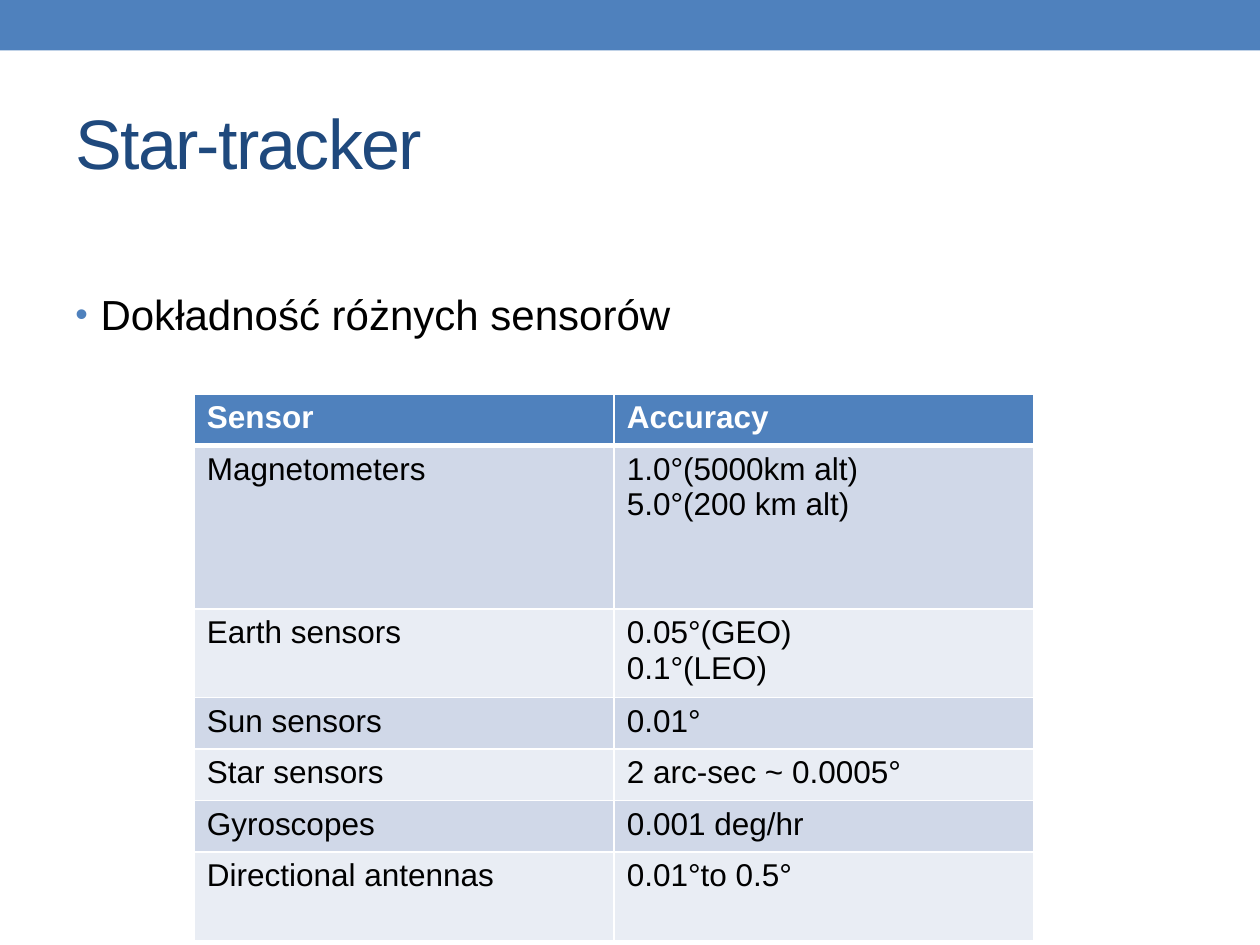
from lxml import etree
from pptx import Presentation
from pptx.dml.color import RGBColor
from pptx.enum import shapes, text
from pptx.oxml import ns
from pptx.util import Pt

BLUE = RGBColor(0x4F, 0x81, 0xBD)
NAVY = RGBColor(0x1F, 0x49, 0x7D)
BLACK = RGBColor(0, 0, 0)
WHITE = RGBColor(0xFF, 0xFF, 0xFF)
BANDS = RGBColor(0xD0, 0xD8, 0xE8), RGBColor(0xE9, 0xED, 0xF4)
FONT = "Arial"

SENSORS = [
    ("Sensor", "Accuracy", 29.5),
    ("Magnetometers", "1.0°(5000km alt)\n5.0°(200 km alt)", 93.5),
    ("Earth sensors", "0.05°(GEO)\n0.1°(LEO)", 50.5),
    ("Sun sensors", "0.01°", 29.5),
    ("Star sensors", "2 arc-sec ~ 0.0005°", 29.5),
    ("Gyroscopes", "0.001 deg/hr", 29.5),
    ("Directional antennas", "0.01°to 0.5°", 50.5),
]


def set_font(p, size, color, bold=False):
    """Format a whole paragraph."""
    p.font.name, p.font.size, p.font.bold = FONT, Pt(size), bold
    p.font.color.rgb = color


def add_child(parent, tag, **attrs):
    """Append a DrawingML element."""
    return etree.SubElement(parent, ns.qn(tag), **attrs)


def add_bar(s, x, y, w, h):
    """Draw the band along the top edge."""
    sp = s.shapes.add_shape(shapes.MSO_SHAPE.RECTANGLE, Pt(x), Pt(y), Pt(w), Pt(h))
    sp.shadow.inherit = False
    sp.fill.solid()
    sp.fill.fore_color.rgb = BLUE
    sp.line.fill.background()


def set_title(s, x, y, w, h):
    """Place and format the title placeholder."""
    sp = s.shapes.title
    sp.left, sp.top, sp.width, sp.height = Pt(x), Pt(y), Pt(w), Pt(h)
    tf = sp.text_frame
    tf.text = "Star-tracker"
    tf.vertical_anchor = text.MSO_ANCHOR.MIDDLE
    p = tf.paragraphs[0]
    p.alignment = text.PP_ALIGN.LEFT
    set_font(p, 40, NAVY)
    p.runs[0].font._element.set("spc", "-100")


def add_bullet(s, x, y, w, h):
    """Write the bulleted line one line below the top of its box."""
    tf = s.shapes.add_textbox(Pt(x), Pt(y), Pt(w), Pt(h)).text_frame
    tf.word_wrap = True
    tf.margin_top = Pt(39)
    p = tf.paragraphs[0]
    p.text = "Dokładność różnych sensorów"
    set_font(p, 24, BLACK)
    pPr = p._p.get_or_add_pPr()
    pPr.set("marL", str(Pt(14.4)))
    pPr.set("indent", str(-Pt(14.4)))
    bullet = [etree.Element(ns.qn("a:buClr")), etree.Element(ns.qn("a:buSzPct"), val="85000"),
              etree.Element(ns.qn("a:buFont"), typeface=FONT),
              etree.Element(ns.qn("a:buChar"), char="•")]
    add_child(bullet[0], "a:srgbClr", val=str(BLUE))
    for i, element in enumerate(bullet):
        pPr.insert(i, element)


def set_borders(cell, bottom):
    """Give a cell white borders with the stated bottom width."""
    tcPr = cell._tc.get_or_add_tcPr()
    for side, width in zip("LRTB", (1, 1, 1, bottom)):
        ln = add_child(tcPr, f"a:ln{side}", w=str(Pt(width)))
        add_child(add_child(ln, "a:solidFill"), "a:srgbClr", val=str(WHITE))


def add_sensor_table(s, x, y, w):
    """Build the sensor accuracy table."""
    height = sum(row[-1] for row in SENSORS)
    table = s.shapes.add_table(len(SENSORS), 2, Pt(x), Pt(y), Pt(w), Pt(height)).table
    for i, (*values, row_height) in enumerate(SENSORS):
        header = i == 0
        table.rows[i].height = Pt(row_height)
        for cell, value in zip(table.rows[i].cells, values):
            set_borders(cell, 3 if header or i == 0 else 3 if i == 0 else 1)
            cell.fill.solid()
            cell.fill.fore_color.rgb = BLUE if header else BANDS[(i - 1) % 2]
            cell.text = value
            for p in cell.text_frame.paragraphs:
                set_font(p, 18, WHITE if header else BLACK, header)
    for cell in table.rows[1].cells:
        cell._tc.tcPr.find(ns.qn("a:lnT")).set("w", str(Pt(3)))


def main():
    """Build and save the slide."""
    prs = Presentation()
    prs.slide_width, prs.slide_height = Pt(720), Pt(540)
    s = prs.slides.add_slide(prs.slide_layouts[5])
    add_bar(s, 0, 0, 720, 28.8)
    set_title(s, 36, 42, 648, 78)
    add_bullet(s, 36, 126, 648, 384)
    add_sensor_table(s, 111, 225, 480)
    prs.save("out.pptx")


if __name__ == "__main__":
    main()
